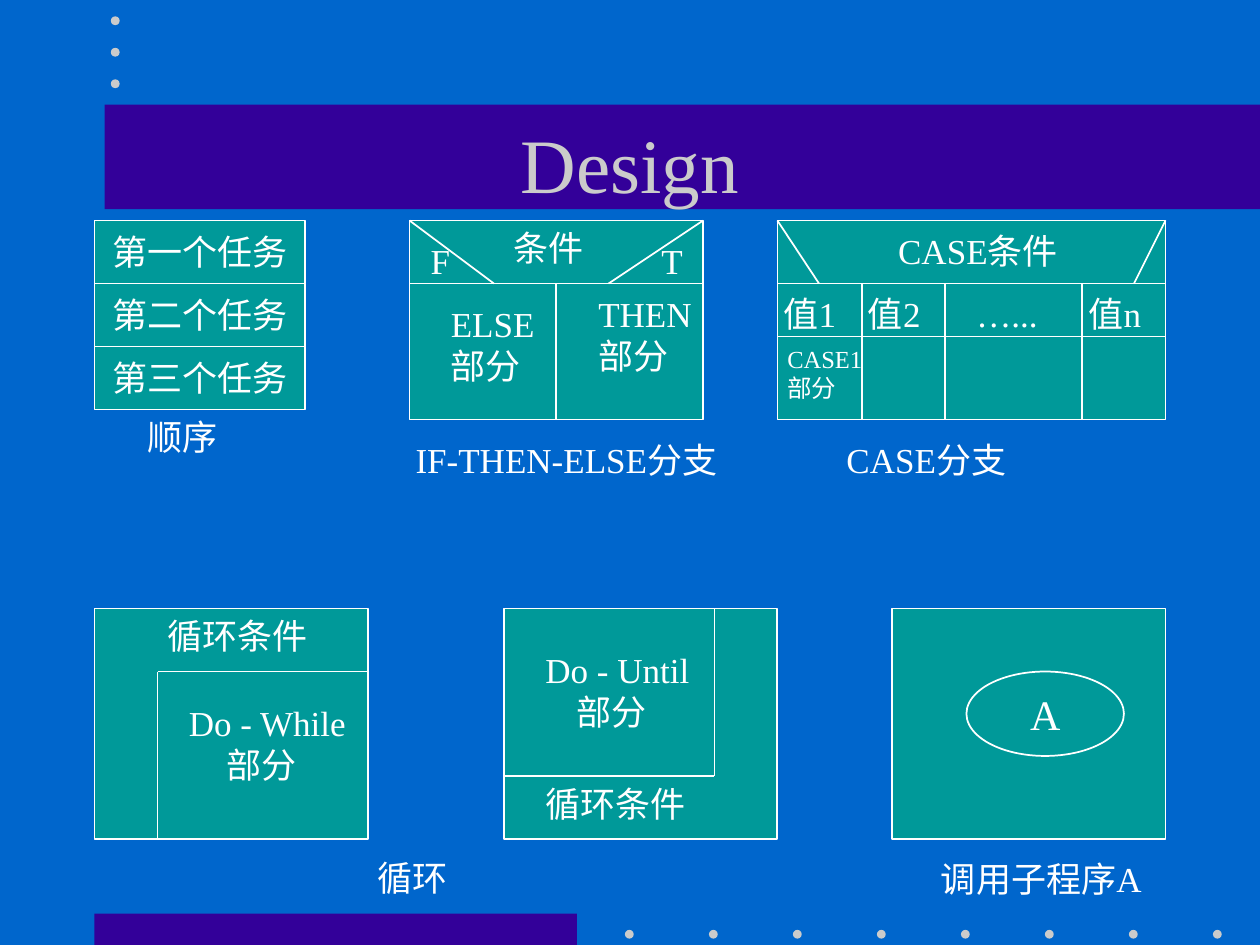
from lxml import etree
from pptx import Presentation
from pptx.dml.color import RGBColor
from pptx.enum.shapes import MSO_CONNECTOR, MSO_SHAPE
from pptx.enum.text import MSO_ANCHOR, MSO_AUTO_SIZE, PP_ALIGN
from pptx.oxml.ns import qn
from pptx.util import Inches, Pt

BLUE, PURPLE, TEAL, GREY, WHITE = "0066CC", "330099", "009999", "CBCBCB", "FFFFFF"
FONT = "Times New Roman"
LABEL_SLACK = 0.04  # spare width that keeps each label line unbroken


def paint(color_format, color):
    color_format.rgb = RGBColor.from_string(color)


def write(frame, text, size=20, color=WHITE, align=PP_ALIGN.LEFT, indent=0):
    """Fill a frame line by line; indent shifts every line after the first."""
    frame.text = text
    for number, para in enumerate(frame.paragraphs):
        if number and indent:
            para._p.get_or_add_pPr().set("marL", str(Inches(indent)))
        para.alignment = align
        for name, value in {"name": FONT, "size": Pt(size)}.items():
            setattr(para.font, name, value)
        paint(para.font.color, color)


def add_block(slide, kind, left, top, width, height, fill=TEAL, line=WHITE, text="", size=20):
    block = slide.shapes.add_shape(
        kind, Inches(left), Inches(top), Inches(width), Inches(height))
    block.shadow.inherit = False
    block.fill.solid()
    paint(block.fill.fore_color, fill)
    if line:
        block.line.width = Pt(1)
        paint(block.line.color, line)
    else:
        block.line.fill.background()
    if text:
        write(block.text_frame, text, size, align=PP_ALIGN.CENTER)
        block.text_frame.word_wrap = False
        block.text_frame.vertical_anchor = MSO_ANCHOR.MIDDLE


def add_rect(slide, box, **options):
    add_block(slide, MSO_SHAPE.RECTANGLE, *box, **options)


def add_dot(slide, left, top):
    add_block(slide, MSO_SHAPE.OVAL, left, top, 0.07, 0.07, fill=GREY, line=None)


def add_lines(slide, *ends):
    for points in ends:
        line = slide.shapes.add_connector(MSO_CONNECTOR.STRAIGHT, *map(Inches, points))
        line.line.width = Pt(1)
        paint(line.line.color, WHITE)
        etree.SubElement(line._element.spPr, qn("a:effectLst"))


def add_label(slide, left, top, width, text, size=20, indent=0):
    height = 0.44 if "\n" not in text else 0.77 if size == 20 else 0.57
    label = slide.shapes.add_textbox(
        Inches(left), Inches(top), Inches(width + LABEL_SLACK), Inches(height))
    write(label.text_frame, text, size, indent=indent)
    label.text_frame.word_wrap = False
    label.text_frame.auto_size = MSO_AUTO_SIZE.SHAPE_TO_FIT_TEXT


def draw_backdrop(slide):
    slide.background.fill.solid()
    paint(slide.background.fill.fore_color, BLUE)
    add_rect(slide, (0.75, 7.25, 3.83, 0.25), fill=PURPLE, line=None)
    for column in range(8):
        add_dot(slide, 4.96 + column * 2 / 3, 7.38)
    add_rect(slide, (0.83, 0.83, 9.17, 0.83), fill=PURPLE, line=None)
    for row in range(3):
        add_dot(slide, 0.88, 0.13 + row * 0.25)


def draw_title(slide, left, top, width, height):
    title = slide.shapes.title
    place = {"left": left, "top": top, "width": width, "height": height}
    for name, value in place.items():
        setattr(title, name, Inches(value))
    write(title.text_frame, "Design", 44, GREY, PP_ALIGN.CENTER)
    title.text_frame.vertical_anchor = MSO_ANCHOR.MIDDLE
    # Bring the title in front of its band
    slide.shapes._spTree.append(title._element)


def draw_sequence(slide, left, top, width, height):
    step = height / 3
    for row, task in enumerate(("第一个任务", "第二个任务", "第三个任务")):
        add_rect(slide, (left, top + row * step, width, step), text=task)
    add_label(slide, left + 0.32, top + height, 0.75, "顺序")


def draw_if_else(slide, left, top, width, height):
    right, bottom = left + width, top + height
    middle, header = left + width / 2, top + 0.5
    add_rect(slide, (left, top, width, height))
    add_lines(slide,
              (left, header, right, header),
              (middle, header, middle, bottom),
              (left, top, left + 0.67, header),
              (right, top, right - 0.75, header))
    # Condition, its two outcomes and their branches
    add_label(slide, left + 0.73, top, 0.75, "条件")
    add_label(slide, left + 0.07, top + 0.1, 0.35, "F")
    add_label(slide, left + 1.9, top + 0.1, 0.37, "T")
    add_label(slide, left + 0.23, top + 0.6, 0.86, "ELSE\n部分")
    add_label(slide, left + 1.4, top + 0.52, 0.94, "THEN\n部分")
    add_label(slide, left - 0.05, bottom + 0.1, 2.66, "IF-THEN-ELSE分支")


def draw_case(slide, left, top, width, height):
    right, bottom = left + width, top + height
    header, values = top + 0.5, top + 0.92
    add_rect(slide, (left, top, width, height))
    add_lines(slide,
              (left, header, right, header),
              (left, values, right, values),
              *((left + x, header, left + x, bottom) for x in (0.67, 1.33, 2.42)),
              (left, top, left + 0.33, header),
              (right, top, right - 0.25, header))
    # Condition, case values and the first case body
    add_label(slide, left + 0.86, top + 0.02, 1.53, "CASE条件")
    for x, value in ((-0.05, "值1"), (0.62, "值2"), (1.48, "…..."), (2.37, "值n")):
        add_label(slide, left + x, top + 0.52, 0.68, value)
    add_label(slide, left - 0.02, top + 0.93, 0.79, "CASE1\n部分", size=14)
    add_label(slide, left + 0.45, bottom + 0.1, 1.53, "CASE分支")


def draw_do_while(slide, left, top, width, height):
    inner_left, inner_top = left + 0.5, top + 0.5
    add_rect(slide, (left, top, width, height))
    add_lines(slide,
              (left + width, inner_top, inner_left, inner_top),
              (inner_left, inner_top, inner_left, top + height))
    add_label(slide, left + 0.48, top, 1.31, "循环条件")
    add_label(slide, left + 0.65, top + 0.69, 1.45, "Do - While\n部分", indent=0.3)
    add_label(slide, left + 2.15, top + height + 0.09, 0.75, "循环")


def draw_do_until(slide, left, top, width, height):
    inner_right, inner_bottom = left + width - 0.5, top + height - 0.5
    add_rect(slide, (left, top, width, height))
    add_lines(slide,
              (left, inner_bottom, inner_right, inner_bottom),
              (inner_right, inner_bottom, inner_right, top))
    add_label(slide, left + 0.23, top + 0.27, 1.34, "Do - Until\n部分", indent=0.25)
    add_label(slide, left + 0.23, inner_bottom, 1.31, "循环条件")


def draw_subroutine(slide, left, top, width, height):
    add_rect(slide, (left, top, width, height))
    add_block(slide, MSO_SHAPE.OVAL, left + 0.59, top + 0.5, 1.25, 0.67, text="A", size=24)
    add_label(slide, left + 0.29, top + height + 0.1, 1.86, "调用子程序A")


def main():
    deck = Presentation()
    deck.slide_width, deck.slide_height = Inches(10), Inches(7.5)
    slide = deck.slides.add_slide(deck.slide_layouts[5])
    draw_backdrop(slide)
    draw_title(slide, 0.75, 0.67, 8.5, 1.25)
    # Upper row: sequence and branches
    draw_sequence(slide, 0.75, 1.75, 1.67, 1.5)
    draw_if_else(slide, 3.25, 1.75, 2.33, 1.58)
    draw_case(slide, 6.17, 1.75, 3.08, 1.58)
    # Lower row: loops and subroutine call
    loop_size = (2.17, 1.83)
    draw_do_while(slide, 0.75, 4.83, *loop_size)
    draw_do_until(slide, 4, 4.83, *loop_size)
    draw_subroutine(slide, 7.08, 4.83, *loop_size)
    deck.save("out.pptx")


if __name__ == "__main__":
    main()
